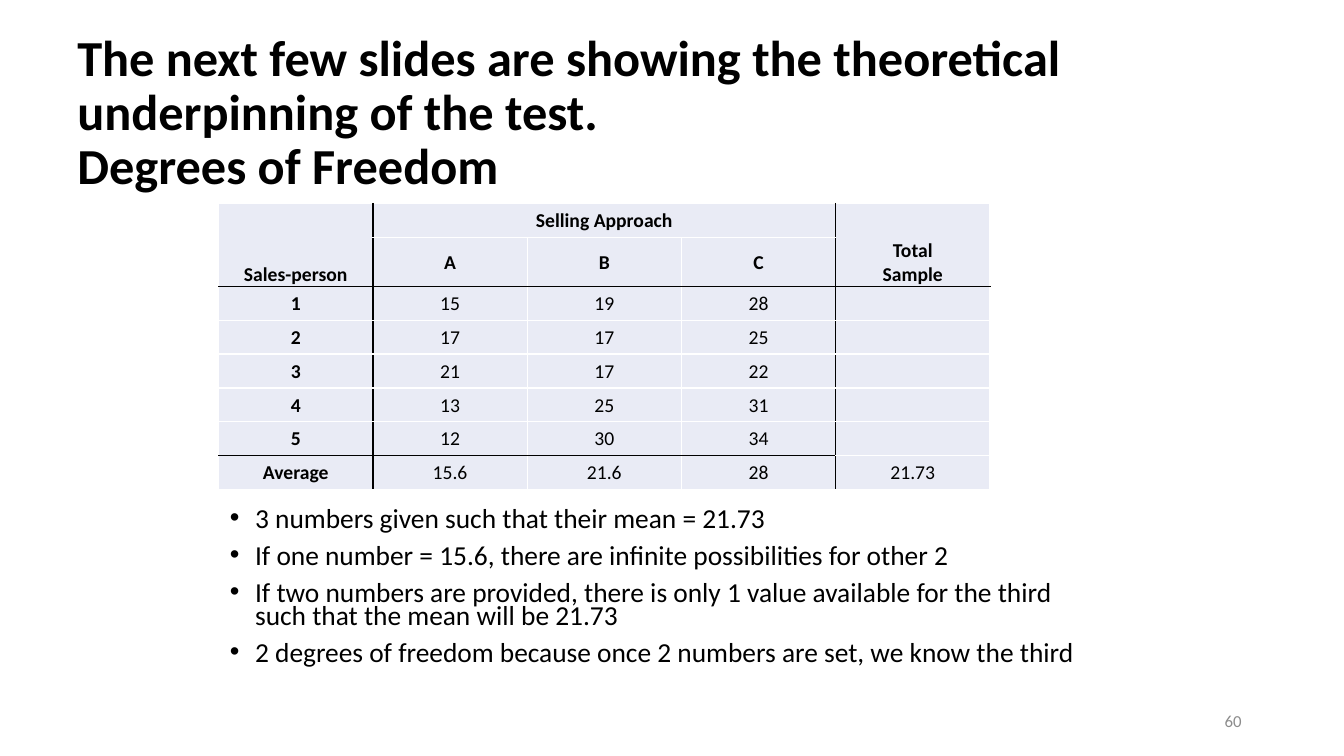
from dataclasses import dataclass

import pptx
import pptx.dml.color
import pptx.enum.text
import pptx.oxml
import pptx.oxml.ns
import pptx.util

Pt = pptx.util.Pt
ALIGN = pptx.enum.text.PP_ALIGN
ANCHOR = pptx.enum.text.MSO_ANCHOR


@dataclass(frozen=True)
class Theme:
    font: str = "Calibri"
    ink: str = "000000"
    muted: str = "8C8C8C"
    cell: str = "E9EBF5"
    rule: str = "FFFFFF"
    title_size: float = 36
    body_size: float = 19.6
    table_size: float = 14
    number_size: float = 12


@dataclass(frozen=True)
class Box:
    left: float
    top: float
    width: float
    height: float


@dataclass(frozen=True)
class Span:
    row: int
    col: int
    last_row: int
    last_col: int


THEME = Theme()
TITLE_BOX = Box(48, 21.6, 800, 120)
TABLE_BOX = Box(156.2, 145.4, 551, 204.4)
BODY_BOX = Box(157, 360.7, 641, 136)
NUMBER_BOX = Box(678, 500.5, 216, 28.8)

ROW_HEIGHT, SUBHEAD_HEIGHT = 24.2, 35
TITLE = ("The next few slides are showing the theoretical underpinning of the test.\v"
         "Degrees of Freedom")
ROWS = [
    ["Sales-person", "Selling Approach", "", "", "Total\nSample"],
    ["", "A", "B", "C", ""],
    ["1", "15", "19", "28", ""],
    ["2", "17", "17", "25", ""],
    ["3", "21", "17", "22", ""],
    ["4", "13", "25", "31", ""],
    ["5", "12", "30", "34", ""],
    ["Average", "15.6", "21.6", "28", "21.73"],
]
SPANS = [Span(0, 0, 1, 0), Span(0, 1, 0, 3), Span(0, 4, 1, 4)]
HEADER_ROWS = 2
DARK_COLUMN_EDGES = (1, 4)
BULLETS = [
    "3 numbers given such that their mean = 21.73",
    "If one number = 15.6, there are infinite possibilities for other 2",
    "If two numbers are provided, there is only 1 value available for the third "
    "such that the mean will be 21.73",
    "2 degrees of freedom because once 2 numbers are set, we know the third",
]


def place(sp, box: Box) -> None:
    sp.left, sp.top = Pt(box.left), Pt(box.top)
    sp.width, sp.height = Pt(box.width), Pt(box.height)


def style(p, size: float, color: str, align, bold: bool = False) -> None:
    p.alignment = align
    p.font.name = THEME.font
    p.font.size = Pt(size)
    p.font.bold = bold
    p.font.color.rgb = pptx.dml.color.RGBColor.from_string(color)


def add_xml(parent, xml: str) -> None:
    ns = pptx.oxml.ns.nsdecls("a")
    parent.append(pptx.oxml.parse_xml(xml.replace(" ", f" {ns} ", 1)))


def row_edge_is_dark(edge: int, col: int) -> bool:
    above_average = edge == len(ROWS) - 1 and col < DARK_COLUMN_EDGES[-1]
    return edge == HEADER_ROWS or above_average


def set_borders(cell, row: int, col: int) -> None:
    right = col + (cell.span_width if cell.is_merge_origin else 1)
    bottom = row + (cell.span_height if cell.is_merge_origin else 1)
    edges = {
        "lnL": col in DARK_COLUMN_EDGES,
        "lnR": right in DARK_COLUMN_EDGES,
        "lnT": row_edge_is_dark(row, col),
        "lnB": row_edge_is_dark(bottom, col),
    }
    tc_pr = cell._tc.get_or_add_tcPr()
    for tag, dark in edges.items():
        color = THEME.ink if dark else THEME.rule
        add_xml(tc_pr, f'<a:{tag} w="{Pt(1)}"><a:solidFill><a:srgbClr val="{color}"/>'
                       f'</a:solidFill></a:{tag}>')


def fill_cell(cell, row: int, col: int) -> None:
    cell.text = ROWS[row][col]
    cell.margin_left = cell.margin_right = cell.margin_top = Pt(0.72)
    cell.margin_bottom = 0
    at_bottom = cell.is_merge_origin and cell.span_height > 1
    cell.vertical_anchor = ANCHOR.BOTTOM if at_bottom else ANCHOR.MIDDLE
    for p in cell.text_frame.paragraphs:
        style(p, THEME.table_size, THEME.ink, ALIGN.CENTER,
              bold=row < HEADER_ROWS or col == 0)
    set_borders(cell, row, col)
    cell.fill.solid()
    cell.fill.fore_color.rgb = pptx.dml.color.RGBColor.from_string(THEME.cell)


def add_title(s) -> None:
    sp = s.shapes.title
    place(sp, TITLE_BOX)
    tf = sp.text_frame
    tf.text = TITLE
    tf.auto_size = pptx.enum.text.MSO_AUTO_SIZE.NONE
    tf.vertical_anchor = ANCHOR.MIDDLE
    p = tf.paragraphs[0]
    p.line_spacing = 0.9
    style(p, THEME.title_size, THEME.ink, ALIGN.LEFT, bold=True)


def add_sales_table(s, box: Box) -> None:
    table = s.shapes.add_table(len(ROWS), len(ROWS[0]), Pt(box.left), Pt(box.top),
                               Pt(box.width), Pt(box.height)).table
    table.first_row = table.horz_banding = False
    for i, row in enumerate(table.rows):
        row.height = Pt(SUBHEAD_HEIGHT if i == HEADER_ROWS - 1 else ROW_HEIGHT)
    for span in SPANS:
        table.cell(span.row, span.col).merge(table.cell(span.last_row, span.last_col))
    for i, texts in enumerate(ROWS):
        for j in range(len(texts)):
            cell = table.cell(i, j)
            if not cell.is_spanned:
                fill_cell(cell, i, j)


def add_bullets(s) -> None:
    sp = s.placeholders[1]
    place(sp, BODY_BOX)
    tf = sp.text_frame
    tf.text = "\n".join(BULLETS)
    tf.auto_size = pptx.enum.text.MSO_AUTO_SIZE.NONE
    for i, p in enumerate(tf.paragraphs):
        p_pr = p._p.get_or_add_pPr()
        p_pr.set("marL", str(Pt(18)))
        p_pr.set("indent", str(Pt(-18)))
        add_xml(p_pr, '<a:buFont typeface="Arial"/>')
        add_xml(p_pr, '<a:buChar char="•"/>')
        p.line_spacing = 0.7
        p.space_before = Pt(10 if i else 0)
        style(p, THEME.body_size, THEME.ink, ALIGN.LEFT)


def add_slide_number(s, box: Box) -> None:
    sp = s.shapes.add_textbox(Pt(box.left), Pt(box.top), Pt(box.width), Pt(box.height))
    tf = sp.text_frame
    tf.word_wrap = True
    tf.vertical_anchor = ANCHOR.MIDDLE
    tf.text = "60"
    style(tf.paragraphs[0], THEME.number_size, THEME.muted, ALIGN.RIGHT)


def main() -> None:
    prs = pptx.Presentation()
    prs.slide_width, prs.slide_height = Pt(960), Pt(540)
    s = prs.slides.add_slide(prs.slide_layouts[1])
    add_title(s)
    add_sales_table(s, TABLE_BOX)
    add_bullets(s)
    add_slide_number(s, NUMBER_BOX)
    prs.save("out.pptx")


if __name__ == "__main__":
    main()
